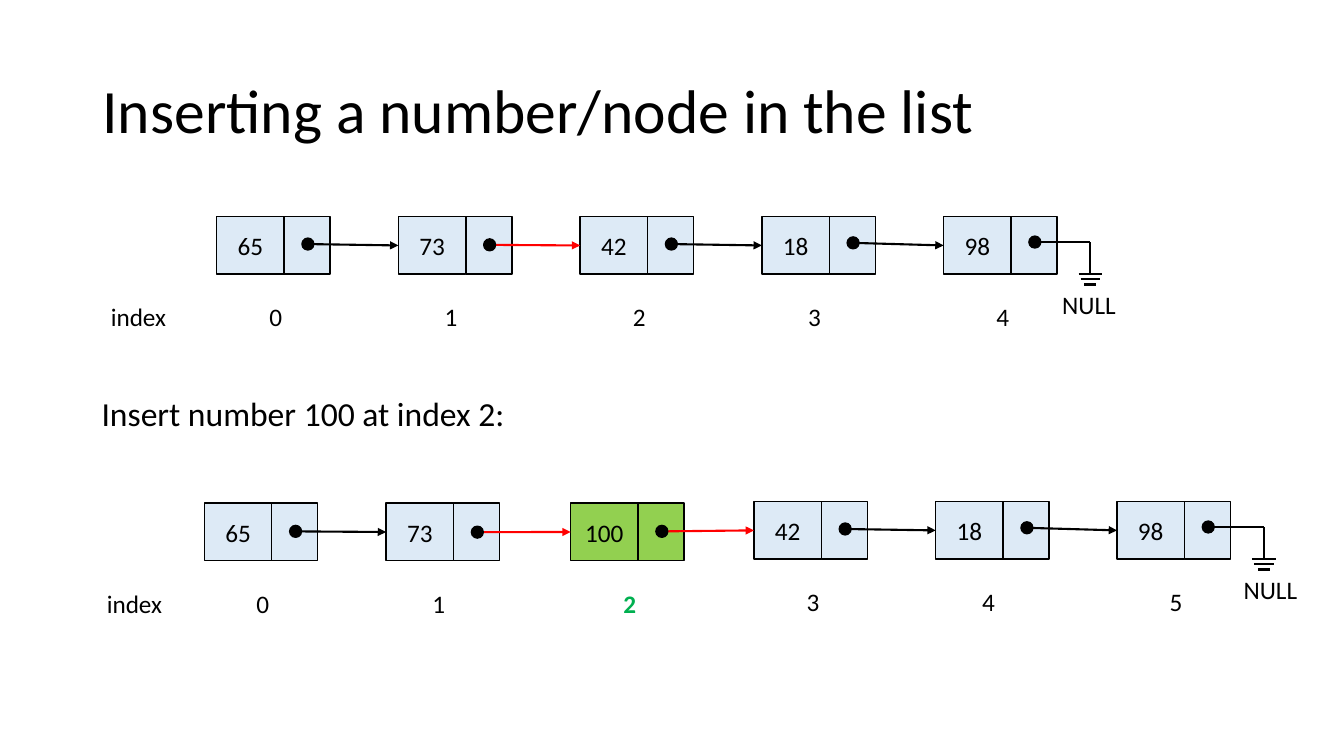
"""Build a slide showing how a node is inserted in a linked list."""
from dataclasses import dataclass

import lxml.etree
import pptx
import pptx.dml.color
import pptx.enum.shapes
import pptx.enum.text
import pptx.oxml.ns
import pptx.util

Cm = pptx.util.Cm
Pt = pptx.util.Pt
RGBColor = pptx.dml.color.RGBColor
Align = pptx.enum.text.PP_ALIGN
Anchor = pptx.enum.text.MSO_ANCHOR
Preset = pptx.enum.shapes.MSO_SHAPE
qn = pptx.oxml.ns.qn

BLACK = RGBColor(0x00, 0x00, 0x00)
RED = RGBColor(0xFF, 0x00, 0x00)
PALE_BLUE = RGBColor(0xDD, 0xEA, 0xF6)
LIME = RGBColor(0x92, 0xD0, 0x50)
GREEN = RGBColor(0x00, 0xB0, 0x50)

FONT = "Calibri"
NUMBER_WIDTH, POINTER_WIDTH, NODE_HEIGHT = 1.7, 1.16, 1.45
DOT_SIZE, DOT_CENTER = 0.3, 2.3
LABEL_WIDTH, LABEL_HEIGHT, INDEX_DROP = 2.46, 0.86, 2.02
WIRE_LENGTH = 1.4
GROUND_BARS = ((0.8, 0.3), (0.93, 0.25), (1.07, 0.15))


@dataclass(frozen=True)
class Node:
    """A list node; lengths in centimetres, dot_drop measured from its top."""
    number: str
    left: float
    top: float
    dot_drop: float
    index_shift: float
    link: RGBColor = BLACK
    fill: RGBColor = PALE_BLUE
    index_color: RGBColor = BLACK

    @property
    def dot(self) -> tuple[float, float]:
        """Return the centre of the pointer dot."""
        return self.left + DOT_CENTER, self.top + self.dot_drop


@dataclass(frozen=True)
class LinkedList:
    """A row of nodes with the places of its two captions."""
    nodes: tuple[Node, ...]
    caption_left: float
    null_left: float


BEFORE = LinkedList((
    Node("65", 5.46, 5.46, 0.69, 0.26),
    Node("73", 10.04, 5.46, 0.71, 0.1, link=RED),
    Node("42", 14.62, 5.46, 0.69, 0.26),
    Node("18", 19.2, 5.46, 0.66, 0.1),
    Node("98", 23.78, 5.46, 0.64, 0.26),
), caption_left=2.26, null_left=26.52)

AFTER = LinkedList((
    Node("65", 5.15, 12.68, 0.71, 0.24),
    Node("73", 9.73, 12.68, 0.73, 0.1, link=RED),
    Node("100", 14.38, 12.68, 0.71, 0.26, RED, LIME, GREEN),
    Node("42", 19, 12.64, 0.69, 0.26),
    Node("18", 23.58, 12.64, 0.66, 0.1),
    Node("98", 28.15, 12.64, 0.64, 0.26),
), caption_left=2.16, null_left=31.09)


def write(frame, text: str, *, size: float = 18, color: RGBColor = BLACK,
          bold: bool = False, align=Align.CENTER, anchor=Anchor.TOP) -> None:
    """Put one formatted paragraph in a text frame."""
    frame.word_wrap = True
    frame.vertical_anchor = anchor
    paragraph = frame.paragraphs[0]
    paragraph.alignment = align
    run = paragraph.add_run()
    run.text = text
    run.font.name = FONT
    run.font.size = Pt(size)
    run.font.bold = bold
    run.font.color.rgb = color


def add_label(slide, text: str, left: float, top: float,
              width: float = LABEL_WIDTH, height: float = LABEL_HEIGHT, **style) -> None:
    """Add a text box."""
    label = slide.shapes.add_textbox(Cm(left), Cm(top), Cm(width), Cm(height))
    write(label.text_frame, text, **style)


def add_figure(slide, preset, left: float, top: float, width: float, height: float,
               fill: RGBColor):
    """Add a filled preset shape with a thin black outline."""
    figure = slide.shapes.add_shape(preset, Cm(left), Cm(top), Cm(width), Cm(height))
    figure.shadow.inherit = False
    figure.fill.solid()
    figure.fill.fore_color.rgb = fill
    figure.line.color.rgb = BLACK
    figure.line.width = Pt(1)
    return figure


def add_line(slide, start: tuple[float, float], end: tuple[float, float],
             color: RGBColor = BLACK, target=None) -> None:
    """Add a line, ending in an arrowhead on the target's left side if there is one."""
    line = slide.shapes.add_connector(
        pptx.enum.shapes.MSO_CONNECTOR.STRAIGHT, *(Cm(value) for value in start + end))
    line.line.color.rgb = color
    line.line.width = Pt(1.5)
    if target is not None:
        line.end_connect(target, 1)
        lxml.etree.SubElement(line.line._get_or_add_ln(), qn("a:tailEnd"), type="triangle")
    lxml.etree.SubElement(line._element.spPr, qn("a:effectLst"))


def add_cells(slide, node: Node):
    """Draw both cells of a node and return the number cell."""
    number = add_figure(slide, Preset.RECTANGLE, node.left, node.top,
                        NUMBER_WIDTH, NODE_HEIGHT, node.fill)
    write(number.text_frame, node.number, anchor=Anchor.MIDDLE)
    add_figure(slide, Preset.RECTANGLE, node.left + NUMBER_WIDTH, node.top,
               POINTER_WIDTH, NODE_HEIGHT, node.fill)
    return number


def add_ground(slide, start: tuple[float, float], null_left: float) -> None:
    """Draw the wire from the last dot to the NULL symbol."""
    x, y = start[0] + WIRE_LENGTH, start[1]
    add_line(slide, start, (x, y))
    add_line(slide, (x, y), (x, y + GROUND_BARS[0][0]))
    for drop, half in GROUND_BARS:
        add_line(slide, (x - half, y + drop), (x + half, y + drop))
    add_label(slide, "NULL", null_left, y + GROUND_BARS[-1][0], 1.9, 1.02, align=Align.LEFT)


def add_linked_list(slide, row: LinkedList) -> None:
    """Draw a row of linked nodes with their indexes."""
    numbers = [add_cells(slide, node) for node in row.nodes]
    for node, following, target in zip(row.nodes, row.nodes[1:], numbers[1:]):
        add_line(slide, node.dot, (following.left, node.dot[1]), node.link, target)
    for index, node in enumerate(row.nodes):
        x, y = node.dot
        add_figure(slide, Preset.OVAL, x - DOT_SIZE / 2, y - DOT_SIZE / 2,
                   DOT_SIZE, DOT_SIZE, BLACK)
        add_label(slide, str(index), node.left + node.index_shift, node.top + INDEX_DROP,
                  color=node.index_color, bold=node.index_color == GREEN)
    add_ground(slide, row.nodes[-1].dot, row.null_left)
    add_label(slide, "index", row.caption_left, row.nodes[0].top + INDEX_DROP)


def main() -> None:
    """Build and save the slide."""
    deck = pptx.Presentation()
    deck.slide_width, deck.slide_height = Cm(33.87), Cm(19.05)
    slide = deck.slides.add_slide(deck.slide_layouts[5])
    title = slide.shapes.title
    title.left, title.top, title.width, title.height = Cm(2.33), Cm(1.01), Cm(29.21), Cm(3.68)
    write(title.text_frame, "Inserting a number/node in the list", size=44,
          align=Align.LEFT, anchor=Anchor.MIDDLE)
    title.text_frame.auto_size = pptx.enum.text.MSO_AUTO_SIZE.NONE
    title.text_frame.paragraphs[0].line_spacing = 0.9
    add_linked_list(slide, BEFORE)
    add_label(slide, "Insert number 100 at index 2:", 2.31, 9.78, 12, 1.28,
              size=24, align=Align.LEFT)
    add_linked_list(slide, AFTER)
    deck.save("out.pptx")


if __name__ == "__main__":
    main()
